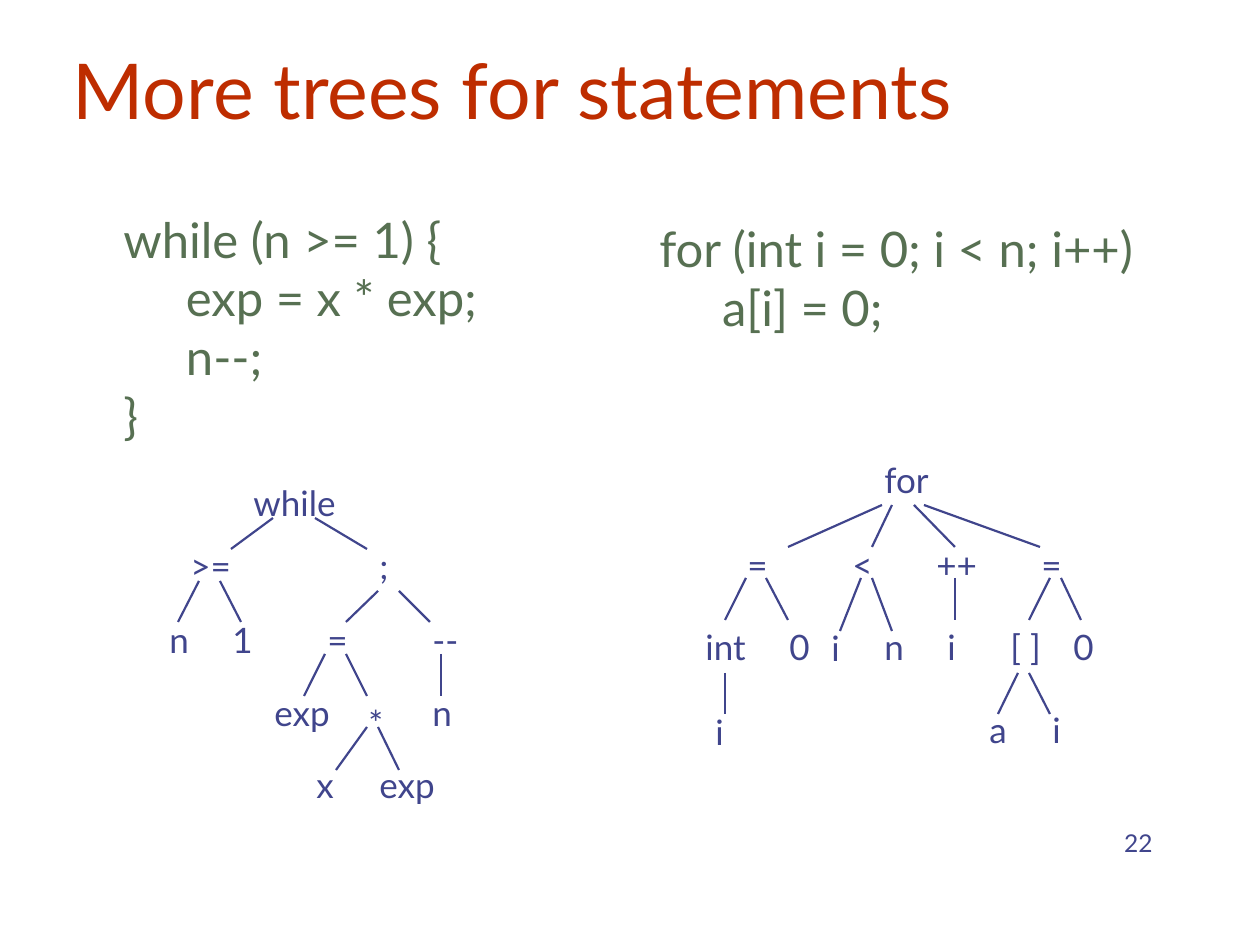
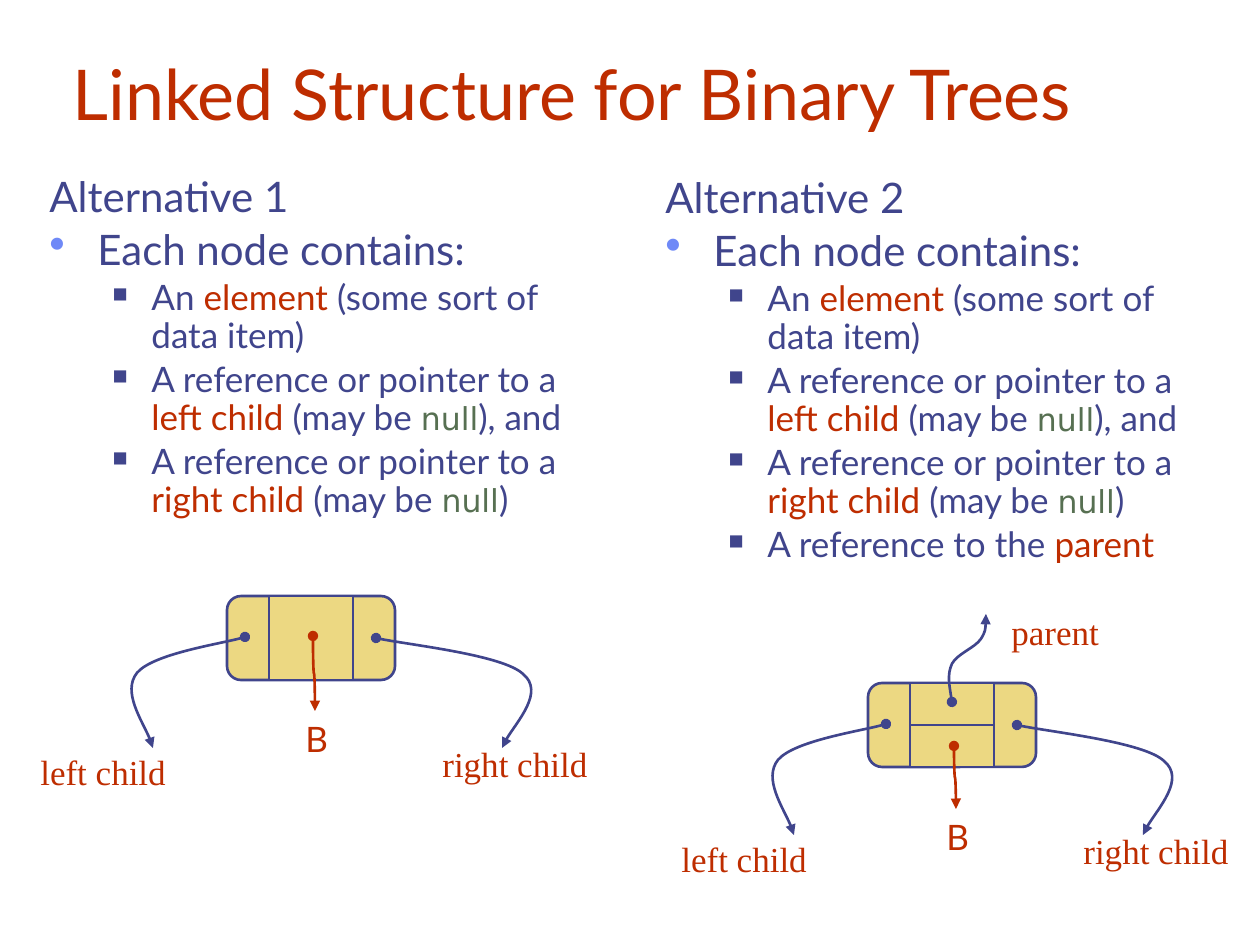
from lxml.etree import SubElement
from pptx import Presentation
from pptx.dml.color import RGBColor
from pptx.enum.shapes import MSO_CONNECTOR as CONN, MSO_SHAPE as SHAPE
from pptx.enum.text import MSO_ANCHOR as ANCHOR, MSO_AUTO_SIZE as AUTO, PP_ALIGN as ALIGN
from pptx.oxml.ns import qn
from pptx.util import Pt

PX = 914400 / 126
COLORS = {"title": "BE2D00", "ink": "40458C", "code": "577052",
          "bullet": "6F89F7", "node": "ECD882"}
FONT, MONO, SERIF = "Lato", "DejaVu Sans", "Times New Roman"

WHILE_CODE = ["while (n >= 1) {", "     exp = x * exp;", "     n--;", "}"]
FOR_CODE = ["for (int i = 0; i < n; i++)", "     a[i] = 0;"]

WHILE_LABELS = [
    (0, [("while", 84, 126)]),
    (63, [(">=", 21, 84), (";", 210, 53)]),
    (137, [("n", 0, 53), ("1", 63, 84), ("=", 158, 53), ("--", 263, 53)]),
    (210, [("exp", 105, 84), ("n", 263, 53)]),
    (220, [("*", 199, 84)]),
    (282, [("x", 147, 53), ("exp", 210, 84)]),
]
WHILE_EDGES = [
    (43, 74, [(116, 74), (158, 210)]),
    (106, 147, [(42, 21), (63, 84)]),
    (116, 147, [(221, 189), (242, 273)]),
    (179, 221, [(168, 147), (189, 210), (284, 284)]),
    (252, 295, [(210, 179), (221, 242)]),
]
FOR_LABELS = [
    (0, [("for", 179, 73)]),
    (85, [("=", 42, 42), ("<", 147, 53), ("++", 231, 73), ("=", 336, 42)]),
    (167, [("int", 0, 73), ("0", 84, 53), ("n", 179, 53), ("i", 242, 53),
           ("[ ]", 305, 73), ("0", 368, 53)]),
    (168, [("i", 126, 53)]),
    (250, [("a", 284, 42), ("i", 347, 42)]),
    (252, [("i", 10, 42)]),
]
FOR_EDGES = [
    (53, 95, [(189, 95), (199, 179), (221, 262), (231, 347)]),
    (126, 168, [(53, 32), (73, 95), (262, 262), (357, 336), (368, 388)]),
    (126, 179, [(168, 147), (179, 199)]),
    (221, 262, [(32, 32), (325, 305), (336, 357)]),
]

LEFT_CURVE = [(18, 41), (0, 47), (-74, 58), (-90, 77), (-105, 96), (-77, 137), (-74, 152)]
RIGHT_CURVE = [(149, 42), (174, 48), (276, 59), (296, 78), (318, 96), (280, 137), (275, 152)]
PARENT_CURVE = [(84, 19), (82, 5), (79, -8), (84, -19), (89, -29), (107, -35), (113, -44),
                (118, -52), (118, -60), (118, -69)]

ELEMENT = [("An ", "ink"), ("element", "title"), (" (some sort of data item)", "ink")]
PARENT = [("A reference to the ", "ink"), ("parent", "title")]


def child_item(side, ending):
    """Return the runs of the bullet about one child."""
    return [("A reference or pointer to a ", "ink"), (f"{side} child", "title"),
            (" (may be ", "ink"), ("null", "code"), (ending, "ink")]


def px(*values):
    """Turn pixels into whole EMU."""
    return [round(v * PX) for v in values]


def rgb(name):
    """Return the named colour."""
    return RGBColor.from_string(COLORS[name])


def add_run(p, text, size=20, color="ink", font=FONT):
    """Add one formatted run to a paragraph."""
    r = p.add_run()
    r.text = text
    r.font.size, r.font.name = Pt(size), font
    r.font.color.rgb = rgb(color)


def add_text(slide, text, x, y, w, h=54, align=ALIGN.LEFT, anchor=ANCHOR.TOP,
             wrap=True, indent=0, **fmt):
    """Add a text box with one paragraph per line of text."""
    tf = slide.shapes.add_textbox(*px(x, y, w, h)).text_frame
    tf.word_wrap, tf.vertical_anchor = wrap, anchor
    lines = [text] if isinstance(text, str) else text
    for i, line in enumerate(lines):
        p = tf.add_paragraph() if i else tf.paragraphs[0]
        p.alignment = align
        if indent:
            p._p.get_or_add_pPr().set("marL", str(px(indent)[0]))
        add_run(p, line, **fmt)


def style_line(sp, width, color="ink", ends=False):
    """Format an outline, with a dot and an arrowhead if asked."""
    sp.line.color.rgb, sp.line.width = rgb(color), Pt(width)
    if ends:
        ln = sp._element.spPr.find(qn("a:ln"))
        SubElement(ln, qn("a:headEnd"), type="oval")
        SubElement(ln, qn("a:tailEnd"), type="triangle")


def add_line(slide, x1, y1, x2, y2, width, kind=CONN.STRAIGHT, **fmt):
    """Add a connector without shadow."""
    c = slide.shapes.add_connector(kind, *px(x1, y1, x2, y2))
    style_line(c, width, **fmt)
    SubElement(c._element.spPr, qn("a:effectLst"))
    return c


def add_curve(slide, x, y, points):
    """Add an arrow along Bézier points given relative to x, y."""
    start, *rest = [px(x + dx, y + dy) for dx, dy in points]
    fb = slide.shapes.build_freeform(*start, scale=1.0)
    fb.add_line_segments(rest, close=False)
    sp = fb.convert_to_shape()
    sp.fill.background()
    sp.shadow.inherit = False
    style_line(sp, 1.5, ends=True)
    segments = list(sp._element.iter(qn("a:lnTo")))
    for i in range(0, len(segments), 3):
        bezier = SubElement(segments[i].getparent(), qn("a:cubicBezTo"))
        for seg in segments[i:i + 3]:
            bezier.append(seg[0])
            seg.getparent().remove(seg)


def add_slide(prs, title, size):
    """Add a slide with a formatted title."""
    slide = prs.slides.add_slide(prs.slide_layouts[5])
    sp = slide.shapes.title
    sp.left, sp.top, sp.width, sp.height = px(60, 21, 1143, 120)
    tf = sp.text_frame
    tf.auto_size, tf.vertical_anchor = AUTO.NONE, ANCHOR.BOTTOM
    p = tf.paragraphs[0]
    p.alignment = ALIGN.LEFT
    add_run(p, title, size, "title")
    return slide


def add_tree(slide, x, y, labels, edges):
    """Draw a syntax tree from rows of labels and rows of edges."""
    for dy, row in labels:
        for text, dx, w in row:
            add_text(slide, text, x + dx, y + dy, w)
    for top, bottom, row in edges:
        for x1, x2 in row:
            add_line(slide, x + x1, y + top, x + x2, y + bottom, 1.25)


def set_bullet(p, char, color, percent, margin, hang):
    """Give a paragraph a bullet and a hanging indent."""
    pPr = p._p.get_or_add_pPr()
    pPr.set("marL", str(px(margin)[0]))
    pPr.set("indent", str(-px(hang)[0]))
    SubElement(SubElement(pPr, qn("a:buClr")), qn("a:srgbClr"), val=COLORS[color])
    SubElement(pPr, qn("a:buSzPct"), val=str(percent * 1000))
    SubElement(pPr, qn("a:buChar"), char=char)


def add_outline(slide, x, y, h, heading, items):
    """Write an alternative: heading, lead-in and bulleted items."""
    tf = slide.shapes.add_textbox(*px(x, y, 572, h)).text_frame
    tf.word_wrap = True
    rows = [[(heading, "ink")], [("Each node contains:", "ink")], *items]
    for i, runs in enumerate(rows):
        p = tf.add_paragraph() if i else tf.paragraphs[0]
        size = 24 if i < 2 else 20
        if i == 1:
            set_bullet(p, "•", "bullet", 110, 48, 48)
        elif i > 1:
            set_bullet(p, "■", "ink", 60, 102, 39)
            p.level = 1
        p.line_spacing = 0.9
        if i:
            p.space_before = Pt(0.18 * size)
        for text, color in runs:
            if color == "code":
                add_run(p, text, 18, color, MONO)
            else:
                add_run(p, text, size, color)


def add_box(slide, kind, x, y, w, h):
    """Add a filled part of a node."""
    sp = slide.shapes.add_shape(kind, *px(x, y, w, h))
    sp.shadow.inherit = False
    sp.fill.solid()
    sp.fill.fore_color.rgb = rgb("node")
    style_line(sp, 1.5)


def add_node(slide, x, y, has_parent=False):
    """Draw a linked node with its references."""
    add_box(slide, SHAPE.ROUNDED_RECTANGLE, x, y, 168, 84)
    add_box(slide, SHAPE.RECTANGLE, x + 42, y, 84, 84)
    curves = [LEFT_CURVE, RIGHT_CURVE]
    labels = [("left child", -199, 148), ("right child", 203, 140)]
    start, end = 40, 115
    if has_parent:
        add_line(slide, x + 42, y + 42, x + 126, y + 42, 1.5)
        curves.append(PARENT_CURVE)
        labels.append(("parent", 131, -79))
        start, end = 63, 126
    for points in curves:
        add_curve(slide, x, y, points)
    mid_x, mid_y, half = x + 87, y + (start + end) / 2, (end - start) / 2
    arrow = add_line(slide, mid_x + half, mid_y - 1, mid_x - half, mid_y + 1, 1.5,
                     kind=CONN.CURVE, color="title", ends=True)
    arrow._element.spPr.find(qn("a:xfrm")).set("rot", str(270 * 60000))
    add_text(slide, "B", x + 66, y + end, 45, align=ALIGN.CENTER, wrap=False, color="title")
    for text, dx, dy in labels:
        add_text(slide, text, x + dx, y + dy, 189, color="title", font=SERIF)


def statements_slide(prs):
    """Build the slide of statement trees."""
    slide = add_slide(prs, "More trees for statements", 44)
    add_text(slide, "22", 903, 801, 262, 63, align=ALIGN.RIGHT, anchor=ANCHOR.BOTTOM, size=14)
    add_text(slide, WHILE_CODE, 63, 203, 577, 567, indent=48, size=28, color="code")
    add_text(slide, FOR_CODE, 599, 212, 611, 553, indent=48, size=28, color="code")
    add_tree(slide, 157, 475, WHILE_LABELS, WHILE_EDGES)
    add_tree(slide, 693, 452, FOR_LABELS, FOR_EDGES)


def linked_slide(prs):
    """Build the slide of the two linked structures."""
    slide = add_slide(prs, "Linked Structure for Binary Trees", 40)
    items = [ELEMENT, child_item("left", "), and"), child_item("right", ")")]
    add_outline(slide, 37, 170, 394, "Alternative 1", items)
    add_outline(slide, 653, 171, 320, "Alternative 2", items + [PARENT])
    add_node(slide, 227, 596)
    add_node(slide, 868, 683, has_parent=True)


def main():
    """Build and save the presentation."""
    prs = Presentation()
    prs.slide_width, prs.slide_height = px(1260, 945)
    statements_slide(prs)
    linked_slide(prs)
    prs.save("out.pptx")


if __name__ == "__main__":
    main()
